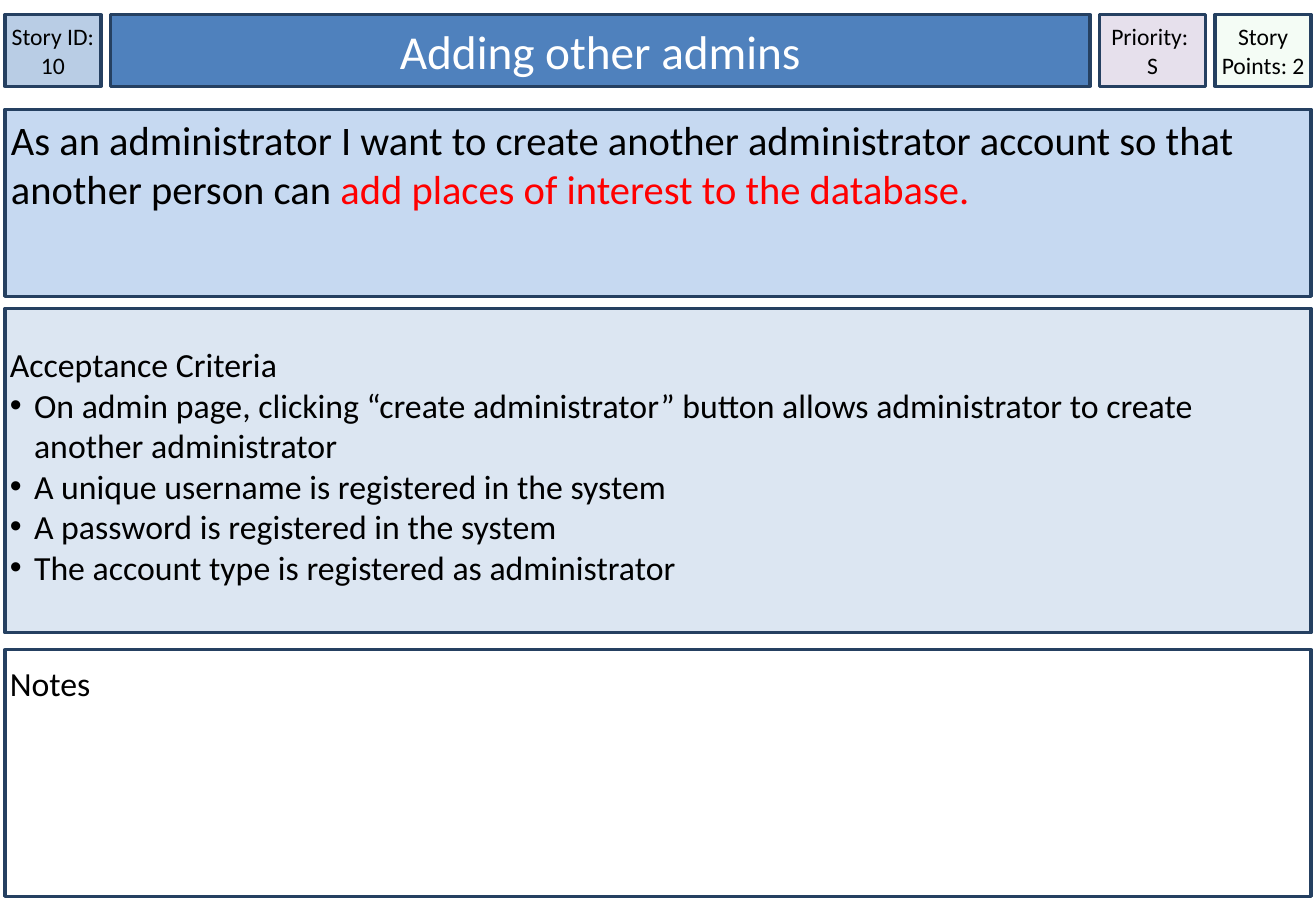
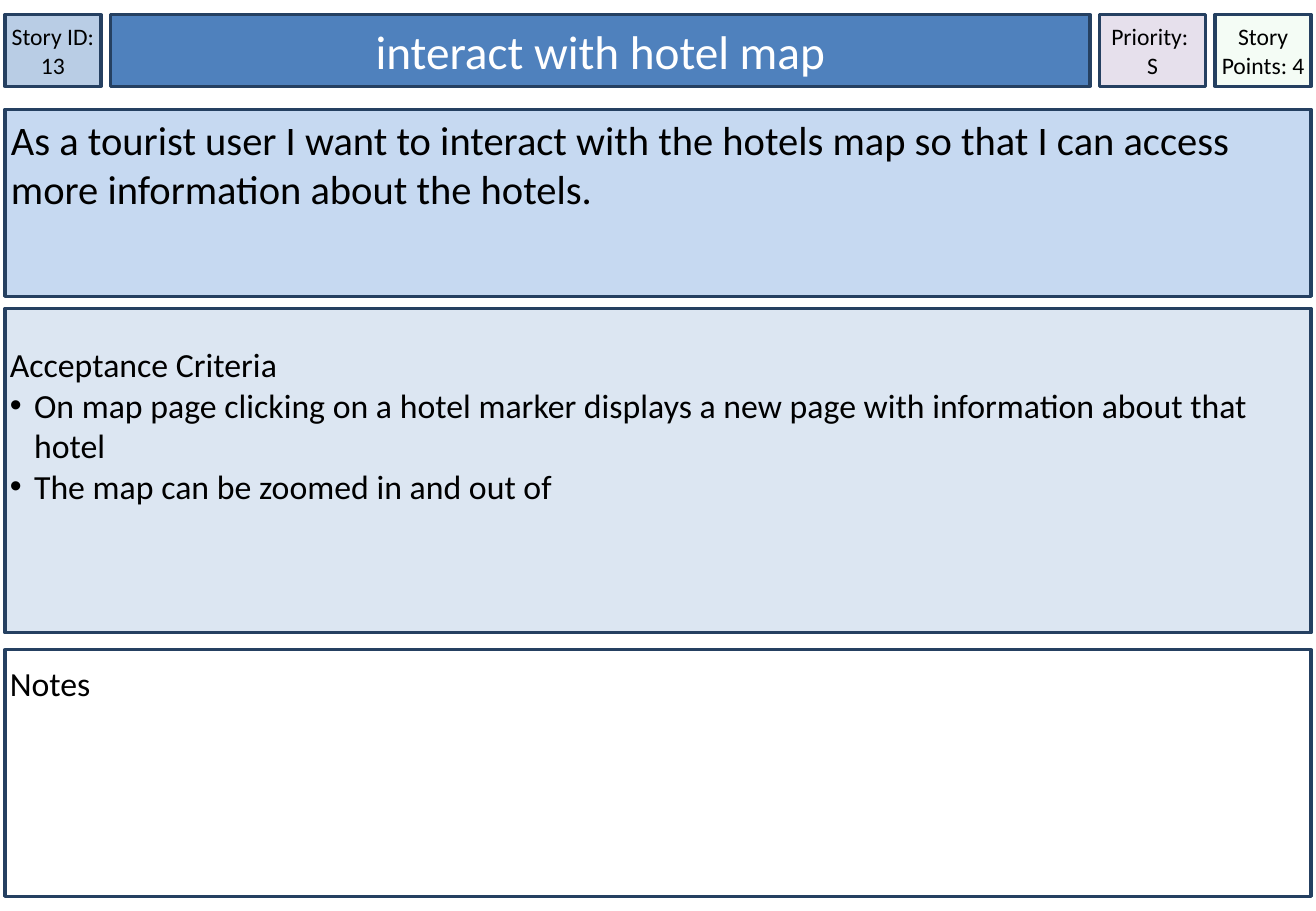
from dataclasses import dataclass

from lxml import etree
from pptx import Presentation
from pptx.dml.color import RGBColor
from pptx.enum import shapes, text
from pptx.oxml import ns
from pptx.util import Inches, Pt


@dataclass(frozen=True)
class Theme:
    font: str = "Calibri"
    ink: str = "000000"
    white: str = "FFFFFF"
    accent: str = "FF0000"
    border: str = "254061"
    id_fill: str = "B9CDE5"
    title_fill: str = "4F81BD"
    priority_fill: str = "E6E0EC"
    points_fill: str = "CCF0CD"
    story_fill: str = "C6D9F1"
    criteria_fill: str = "DCE6F2"
    border_width: float = 2
    tag_size: int = 14
    title_size: int = 28
    story_size: int = 24
    body_size: int = 20


THEME = Theme()
CENTER, LEFT = text.PP_ALIGN.CENTER, text.PP_ALIGN.LEFT

# Card layout, in inches: left, top, width, height
HEADER = (0.04, 0.12, 10.75, 0.59)
STORY = (0.04, 0.9, 10.75, 1.54)
CRITERIA = (0.04, 2.54, 10.75, 2.67)
NOTES = (0.04, 5.35, 10.75, 2.03)

CARDS = [
    {
        "id": 10,
        "title": "Adding other admins",
        "priority": "S",
        "points": 2,
        "story": [
            ("As an administrator I want to create another administrator "
             "account so that another person can ", THEME.ink),
            ("add places of interest to the database.", THEME.accent),
        ],
        "criteria": [
            "On admin page, clicking “create administrator” button allows "
            "administrator to create another administrator",
            "A unique username is registered in the system",
            "A password is registered in the system",
            "The account type is registered as administrator",
        ],
    },
    {
        "id": 13,
        "title": "interact with hotel map",
        "priority": "S",
        "points": 4,
        "story": [
            ("As a tourist user I want to interact with the hotels map so that "
             "I can access more information about the hotels.", THEME.ink),
        ],
        "criteria": [
            "On map page clicking on a hotel marker displays a new page with "
            "information about that hotel",
            "The map can be zoomed in and out of",
        ],
    },
]


def add_panel(slide, box, fill, inset=0, top_inset=None, middle=False, wrap=True):
    """Draw a bordered rectangle and return its text frame."""
    panel = slide.shapes.add_shape(
        shapes.MSO_SHAPE.RECTANGLE, *(Inches(length) for length in box))
    panel.shadow.inherit = False
    panel.fill.solid()
    panel.fill.fore_color.rgb = RGBColor.from_string(fill)
    panel.line.color.rgb = RGBColor.from_string(THEME.border)
    panel.line.width = Pt(THEME.border_width)
    frame = panel.text_frame
    settings = {
        "margin_left": Inches(inset),
        "margin_right": Inches(inset),
        "margin_top": Inches(inset if top_inset is None else top_inset),
        "margin_bottom": Inches(inset),
        "word_wrap": wrap,
        "vertical_anchor": text.MSO_ANCHOR.MIDDLE if middle else text.MSO_ANCHOR.TOP,
    }
    for name, value in settings.items():
        setattr(frame, name, value)
    return panel, frame


def write(frame, paragraphs, size, color=THEME.ink, align=LEFT):
    """Fill a frame; a paragraph is a string or a list of (text, colour)."""
    for index, content in enumerate(paragraphs):
        paragraph = frame.paragraphs[0] if index == 0 else frame.add_paragraph()
        paragraph.alignment = align
        runs = [(content, color)] if isinstance(content, str) else content
        for words, run_color in runs:
            run = paragraph.add_run()
            run.text = words
            run.font.name = THEME.font
            run.font.size = Pt(size)
            run.font.color.rgb = RGBColor.from_string(run_color)


def add_bullet(paragraph, indent=0.2):
    properties = paragraph._p.get_or_add_pPr()
    properties.set("marL", str(Inches(indent)))
    properties.set("indent", str(-Inches(indent)))
    etree.SubElement(properties, ns.qn("a:buFont")).set("typeface", "Arial")
    etree.SubElement(properties, ns.qn("a:buChar")).set("char", "•")


def set_opacity(panel, percent):
    color = panel.fill._xPr.find(ns.qn("a:solidFill"))[0]
    etree.SubElement(color, ns.qn("a:alpha")).set("val", str(percent * 1000))


def add_header(slide, box, card):
    left, top, width, height = box
    tag, priority, gap = 0.79, 0.87, 0.08
    title = width - 2 * tag - priority - 3 * gap
    cells = [
        (tag, THEME.id_fill, [f"Story ID: {card['id']}"], True),
        (title, THEME.title_fill, [card["title"]], True),
        (priority, THEME.priority_fill, ["Priority: ", card["priority"]], False),
        (tag, THEME.points_fill, [f"Story Points: {card['points']}"], True),
    ]
    for cell_width, fill, lines, wrap in cells:
        panel, frame = add_panel(slide, (left, top, cell_width, height), fill,
                                 middle=True, wrap=wrap)
        is_title = fill == THEME.title_fill
        write(frame, lines, THEME.title_size if is_title else THEME.tag_size,
              THEME.white if is_title else THEME.ink, CENTER)
        if fill == THEME.points_fill:
            set_opacity(panel, 20)
        left += cell_width + gap


def add_story(slide, box, story):
    _, frame = add_panel(slide, box, THEME.story_fill, inset=0.05)
    write(frame, [story], THEME.story_size)


def add_criteria(slide, box, criteria):
    _, frame = add_panel(slide, box, THEME.criteria_fill, inset=0.04, top_inset=0.29)
    write(frame, ["Acceptance Criteria", *criteria], THEME.body_size)
    for paragraph in frame.paragraphs[1:]:
        add_bullet(paragraph)


def add_notes_area(slide, box):
    _, frame = add_panel(slide, box, THEME.white, inset=0.04, top_inset=0.11)
    write(frame, ["Notes"], THEME.body_size)


def add_card(deck, card):
    slide = deck.slides.add_slide(deck.slide_layouts[6])
    add_header(slide, HEADER, card)
    add_story(slide, STORY, card["story"])
    add_criteria(slide, CRITERIA, card["criteria"])
    add_notes_area(slide, NOTES)


def main():
    deck = Presentation()
    deck.slide_width, deck.slide_height = Inches(10.83), Inches(7.5)
    for card in CARDS:
        add_card(deck, card)
    deck.save("out.pptx")


if __name__ == "__main__":
    main()
